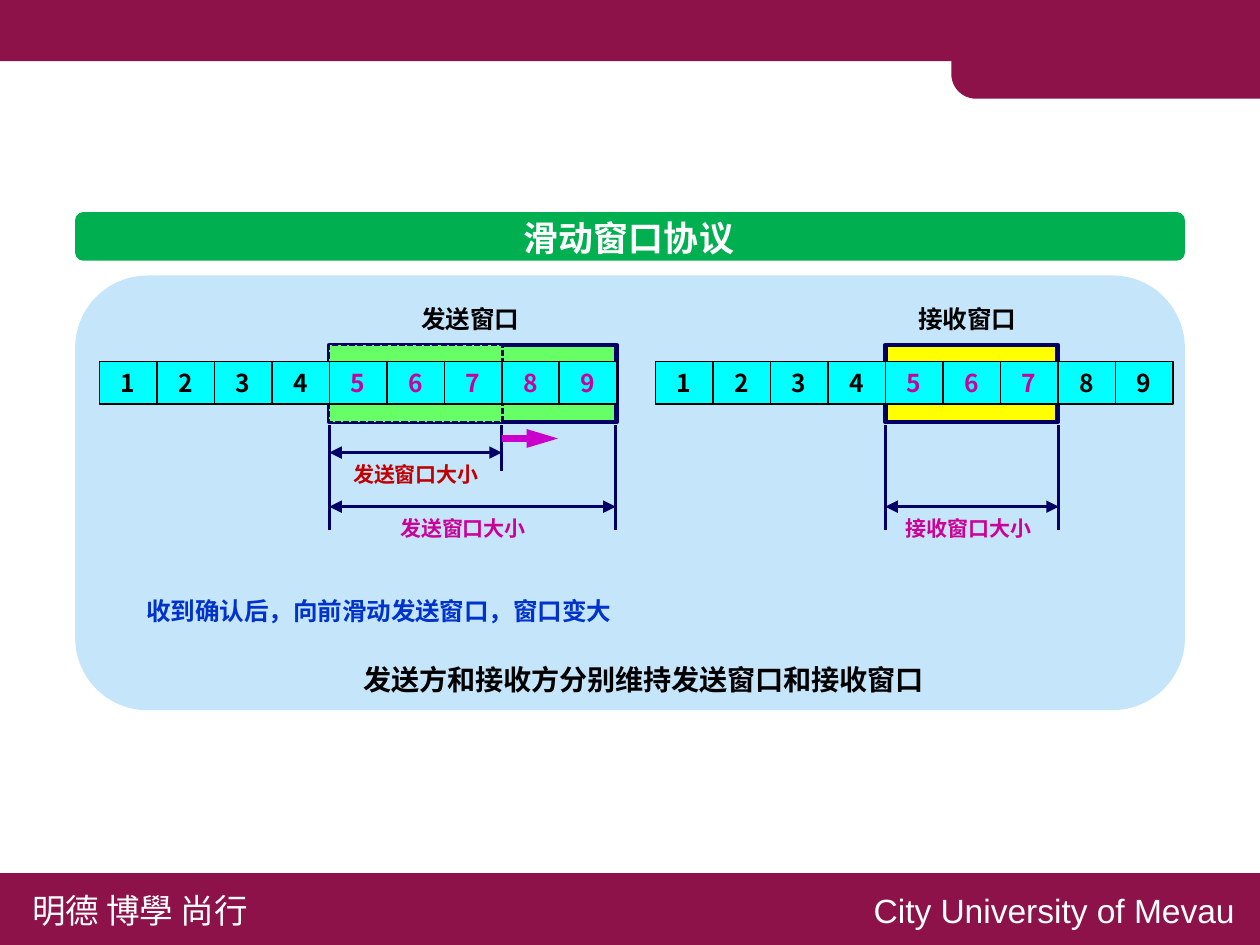
import pptx
import pptx.dml.color
import pptx.enum.dml
import pptx.enum.shapes
import pptx.enum.text
import pptx.oxml.ns
import pptx.util
from lxml import etree

Pt = pptx.util.Pt
RGB = pptx.dml.color.RGBColor
SHAPE = pptx.enum.shapes.MSO_SHAPE
ALIGN = pptx.enum.text.PP_ALIGN
ANCHOR = pptx.enum.text.MSO_ANCHOR
qn = pptx.oxml.ns.qn

WINE = RGB(0x8D, 0x12, 0x4A)
WHITE = RGB(0xFF, 0xFF, 0xFF)
BLACK = RGB(0x00, 0x00, 0x00)
GREEN = RGB(0x00, 0xB0, 0x50)
PALE_BLUE = RGB(0xC5, 0xE5, 0xFB)
NAVY = RGB(0x00, 0x00, 0x66)
LIME = RGB(0x66, 0xFF, 0x66)
YELLOW = RGB(0xFF, 0xFF, 0x00)
CYAN = RGB(0x00, 0xFF, 0xFF)
MAGENTA = RGB(0xCC, 0x00, 0x99)
PURPLE = RGB(0xCC, 0x00, 0xCC)
RED = RGB(0xC0, 0x00, 0x00)
BLUE = RGB(0x00, 0x33, 0xCC)

CJK = "Noto Sans CJK SC"
CELL_W, CELL_H = 27.38, 20.3
CELL_COUNT = 9
FIRST_IN_WINDOW = 5


def write(tf, text, size=11.67, color=BLACK, bold=True, font=CJK,
          align=ALIGN.LEFT, anchor=ANCHOR.TOP):
    tf.word_wrap = False
    tf.auto_size = pptx.enum.text.MSO_AUTO_SIZE.NONE
    tf.vertical_anchor = anchor
    p = tf.paragraphs[0]
    p.alignment = align
    r = p.add_run()
    r.text = text
    r.font.size = Pt(size)
    r.font.bold = bold
    r.font.color.rgb = color
    r.font.name = font
    ea = etree.SubElement(r.font._element, qn("a:ea"))
    ea.set("typeface", font)


def label(slide, text, x, y, w, h, **fmt):
    sp = slide.shapes.add_textbox(Pt(x), Pt(y), Pt(w), Pt(h))
    write(sp.text_frame, text, **fmt)


def box(slide, x, y, w, h, fill, line=None, width=0.75, kind=SHAPE.RECTANGLE):
    sp = slide.shapes.add_shape(kind, Pt(x), Pt(y), Pt(w), Pt(h))
    sp.shadow.inherit = False
    sp.fill.solid()
    sp.fill.fore_color.rgb = fill
    if line is None:
        sp.line.fill.background()
    else:
        sp.line.color.rgb = line
        sp.line.width = Pt(width)
    return sp


def rule(slide, x1, y1, x2, y2, color=NAVY, width=1.5, ends=(), length="med"):
    c = slide.shapes.add_connector(pptx.enum.shapes.MSO_CONNECTOR.STRAIGHT,
                                   Pt(x1), Pt(y1), Pt(x2), Pt(y2))
    c.line.color.rgb = color
    c.line.width = Pt(width)
    for end in ends:
        e = etree.SubElement(c.get_or_add_ln(), qn("a:" + end))
        e.set("type", "triangle")
        e.set("len", length)
    etree.SubElement(c._element.spPr, qn("a:effectLst"))


def dimension(slide, x, y, w, text, text_dx, color):
    rule(slide, x, y, x + w, y, ends=("headEnd", "tailEnd"))
    label(slide, text, x + text_dx, y + 0.8, 75, 19.4, size=10, color=color)


def frame(slide, w, h):
    # Top banner with its rounded tab
    box(slide, 0, 0, w, 29.2, WINE)
    tab = box(slide, w - 147, 0, 147, 47, WINE, kind=SHAPE.ROUND_1_RECTANGLE)
    tab.adjustments[0] = 0.25
    tab.rotation = 180
    # Footer band
    box(slide, 0, h - 34.2, w, 34.2, WINE)
    label(slide, "明德 博學 尚行", 8.2, h - 29.9, 121, 27,
          size=16, color=WHITE, bold=False)
    label(slide, "City University of Mevau", w - 191, h - 29.9, 189, 27,
          size=16, color=WHITE, bold=False, font="Arial")


def heading(slide, x, y, w, h):
    box(slide, x, y, w, h, GREEN, kind=SHAPE.ROUNDED_RECTANGLE)
    title = slide.shapes.title
    title.left, title.top = Pt(x + w / 2 - 58), Pt(y - 1.4)
    title.width, title.height = Pt(115), Pt(27.4)
    write(title.text_frame, "滑动窗口协议", size=16.67, color=WHITE,
          align=ALIGN.CENTER)
    # Bring the title in front of its bar
    slide.shapes._spTree.append(title._element)


def strip(slide, x, y, in_window):
    box(slide, x, y, CELL_COUNT * CELL_W, CELL_H, CYAN, BLACK)
    for i in range(CELL_COUNT):
        left = x + i * CELL_W
        label(slide, str(i + 1), left, y, CELL_W, CELL_H,
              color=MAGENTA if i + 1 in in_window else BLACK,
              align=ALIGN.CENTER, anchor=ANCHOR.MIDDLE)
        if i:
            rule(slide, left, y, left, y + CELL_H, BLACK, 0.75)


def window(slide, x, y, count, name, name_dx, fill, caption, caption_dx,
           span, small=0):
    """A strip of cells at (x, y) with a window over `count` of them."""
    left = x + (FIRST_IN_WINDOW - 1) * CELL_W
    w = count * CELL_W
    small_w = small * CELL_W
    label(slide, name, left + name_dx, y - 30.9, 61, 21.6)
    box(slide, left, y - 7.9, w, 36.7, fill, NAVY, 2.25)
    # Earlier, smaller window
    if small:
        sp = box(slide, left, y - 7.9, small_w + 0.4, 36.7, fill, NAVY, 1)
        sp.line.dash_style = pptx.enum.dml.MSO_LINE.SQUARE_DOT
    strip(slide, x, y, range(FIRST_IN_WINDOW, FIRST_IN_WINDOW + count))
    # Window size below the cells
    for edge in (left, left + span):
        rule(slide, edge, y + 30.3, edge, y + 80)
    dimension(slide, left, y + 69.1, span, caption, caption_dx, MAGENTA)
    if small:
        edge = left + small_w
        rule(slide, edge, y + 30.3, edge, y + 52)
        dimension(slide, left, y + 43.3, small_w, caption, 4.3, RED)
        rule(slide, edge, y + 36.6, edge + 26.8, y + 36.6, PURPLE, 3,
             ends=("tailEnd",), length="lg")


def panel(slide, x, y, w, h):
    box(slide, x, y, w, h, PALE_BLUE, kind=SHAPE.ROUNDED_RECTANGLE)
    window(slide, x + 11.5, y + 41, 5, "发送窗口", 36.8, LIME,
           "发送窗口大小", 26.7, 136.4, small=3)
    window(slide, x + 276.3, y + 41, 3, "接收窗口", 8.7, YELLOW,
           "接收窗口大小", 2.7, 82.6)
    # Remarks
    label(slide, "收到确认后，向前滑动发送窗口，窗口变大",
          x + 26.9, y + 149.1, 237.6, 21.6, color=BLUE)
    label(slide, "发送方和接收方分别维持发送窗口和接收窗口",
          x + 113.2, y + 180.8, 314.6, 24, size=13.33, align=ALIGN.CENTER)


def main():
    prs = pptx.Presentation()
    prs.slide_width, prs.slide_height = Pt(600), Pt(450)
    slide = prs.slides.add_slide(prs.slide_layouts[5])
    frame(slide, 600, 450)
    heading(slide, 35.8, 101, 528.5, 23.2)
    panel(slide, 35.8, 131.2, 528.5, 207)
    prs.save("out.pptx")


if __name__ == "__main__":
    main()
